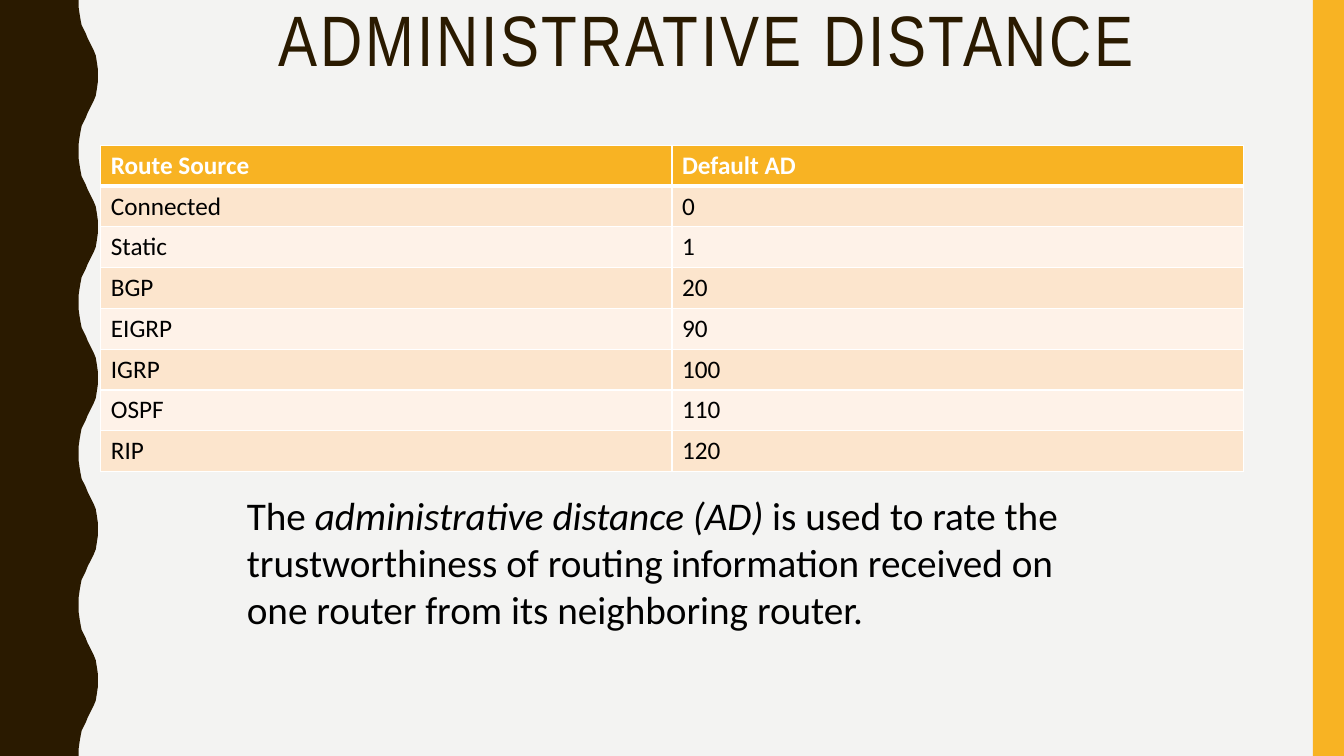
from lxml.etree import SubElement
from pptx import Presentation
from pptx.dml.color import RGBColor
from pptx.enum.shapes import MSO_SHAPE
from pptx.enum.text import MSO_ANCHOR, PP_ALIGN
from pptx.oxml.ns import qn
from pptx.util import Inches, Pt

BROWN, GOLD, WHITE, BLACK = "2A1A00", "F8B323", "FFFFFF", "000000"
BANDS = ("FCE5CD", "FEF2E8")
ROUTES = [
    ("Route Source", "Default AD"),
    ("Connected", "0"),
    ("Static", "1"),
    ("BGP", "20"),
    ("EIGRP", "90"),
    ("IGRP", "100"),
    ("OSPF", "110"),
    ("RIP", "120"),
]
HALF_WAVE = [
    (0.78, 0), (0.78, 0.07), (0.79, 0.14), (0.8, 0.2), (0.81, 0.25),
    (0.83, 0.29), (0.85, 0.33), (0.87, 0.38), (0.89, 0.42), (0.91, 0.46),
    (0.93, 0.5), (0.95, 0.55), (0.96, 0.61), (0.97, 0.68), (0.97, 0.75),
]
WAVE_HEIGHT = 1.5
WAVE_COUNT = 5


def color(value):
    """Turn a hex string into a colour."""
    return RGBColor.from_string(value)


def paint(shape, fill):
    """Give a shape a flat fill without line or shadow."""
    shape.shadow.inherit = False
    shape.fill.solid()
    shape.fill.fore_color.rgb = color(fill)
    shape.line.fill.background()


def add_span(para, text, size=18, font="Calibri", ink=BLACK, bold=False, italic=False, spacing=0):
    """Append formatted text to a paragraph."""
    span = para.add_run()
    span.text = text
    span.font.size = Pt(size)
    span.font.name = font
    span.font.color.rgb = color(ink)
    span.font.bold = bold
    span.font.italic = italic
    if spacing:
        span.font._element.set("spc", str(spacing * 100))


def add_box(page, left, top, width, height):
    """Add a wrapping text box and return its first paragraph."""
    frame = page.shapes.add_textbox(Inches(left), Inches(top), Inches(width), Inches(height)).text_frame
    frame.word_wrap = True
    frame.vertical_anchor = MSO_ANCHOR.TOP
    return frame.paragraphs[0]


def add_wavy_edge(page):
    """Draw the dark left band with its repeating wave."""
    wave = HALF_WAVE + [(x, WAVE_HEIGHT - y) for x, y in HALF_WAVE[-2::-1]]
    edge = [(x, y + index * WAVE_HEIGHT) for index in range(WAVE_COUNT) for x, y in wave]
    outline = [(Inches(x), Inches(y)) for x, y in edge + [(0, 7.5)]]
    builder = page.shapes.build_freeform(0, 0, scale=1)
    builder.add_line_segments(outline, close=True)
    paint(builder.convert_to_shape(), BROWN)


def add_borders(cell, top, bottom):
    """Put white borders on a cell, with top and bottom widths in points."""
    properties = cell._tc.get_or_add_tcPr()
    for side, width in (("L", 1), ("R", 1), ("T", top), ("B", bottom)):
        line = SubElement(properties, qn(f"a:ln{side}"), w=str(Pt(width)))
        fill = SubElement(line, qn("a:solidFill"))
        SubElement(fill, qn("a:srgbClr"), val=WHITE)


def add_route_table(page):
    """Add the table of route sources and their distances."""
    table = page.shapes.add_table(
        len(ROUTES), 2, Inches(1), Inches(1.44), Inches(11.33), Inches(3.24)
    ).table
    for row, values in enumerate(ROUTES):
        header = row == 0
        for column, value in enumerate(values):
            cell = table.cell(row, column)
            add_borders(cell, top=3 if row == 1 else 1, bottom=3 if header else 1)
            cell.fill.solid()
            cell.fill.fore_color.rgb = color(GOLD if header else BANDS[(row - 1) % 2])
            add_span(cell.text_frame.paragraphs[0], value, ink=WHITE if header else BLACK, bold=header)


def main():
    """Build and save the slide."""
    deck = Presentation()
    deck.slide_width, deck.slide_height = Inches(13.33), Inches(7.5)
    page = deck.slides.add_slide(deck.slide_layouts[6])
    page.background.fill.solid()
    page.background.fill.fore_color.rgb = color("F3F3F2")

    add_wavy_edge(page)
    stripe = page.shapes.add_shape(MSO_SHAPE.RECTANGLE, Inches(13.02), 0, Inches(0.31), Inches(7.5))
    paint(stripe, GOLD)

    title = add_box(page, 1, 0, 12.03, 1.44)
    title.alignment = PP_ALIGN.CENTER
    title.line_spacing = 0.9
    add_span(title, "ADMINISTRATIVE DISTANCE", size=51, font="Arial Narrow", ink=BROWN, spacing=2)

    add_route_table(page)

    summary = add_box(page, 2.35, 4.82, 8.39, 1.99)
    add_span(summary, "The ", size=28)
    add_span(summary, "administrative distance (AD)", size=28, italic=True)
    add_span(
        summary,
        " is used to rate the trustworthiness of routing information received on "
        "one router from its neighboring router.",
        size=28,
    )
    deck.save("out.pptx")


if __name__ == "__main__":
    main()
